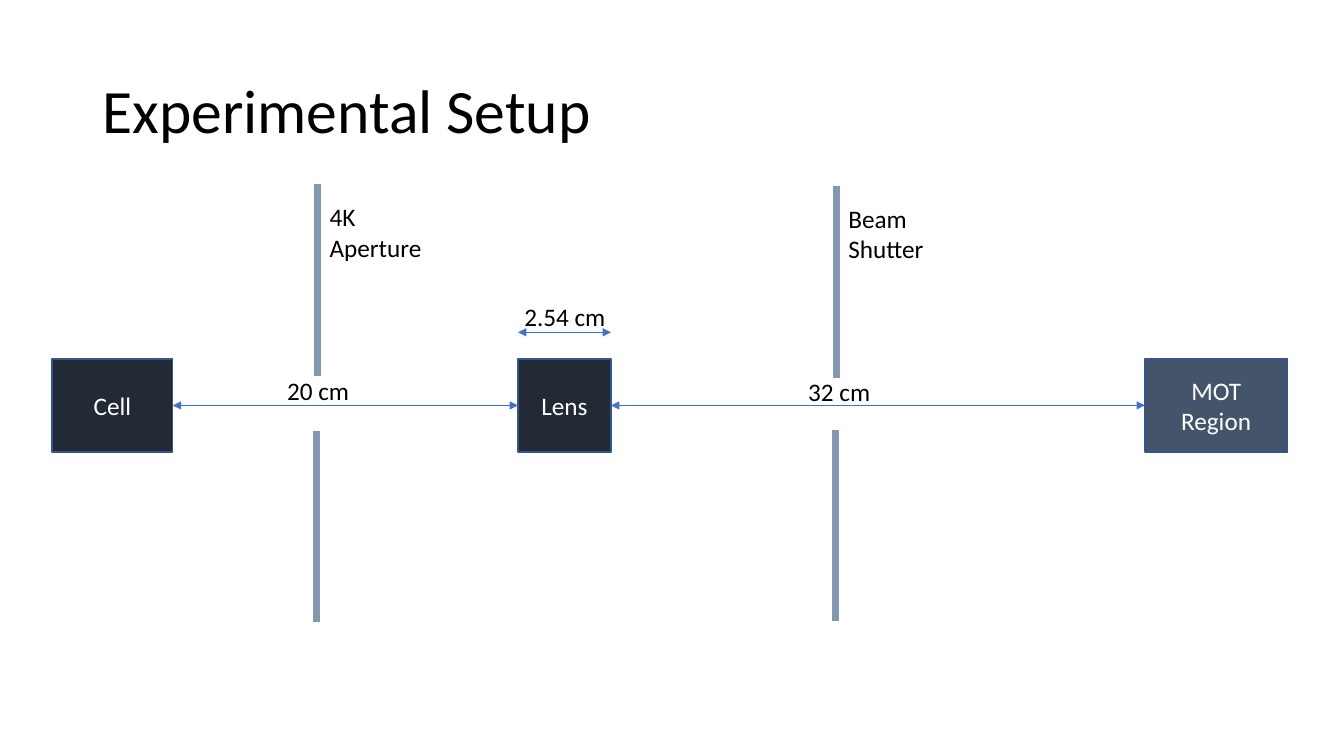
import pptx
import pptx.util
import pptx.dml.color
import pptx.enum.shapes
import pptx.enum.text
import pptx.oxml.ns
import lxml.etree

Pt = pptx.util.Pt
Align = pptx.enum.text.PP_ALIGN
Anchor = pptx.enum.text.MSO_ANCHOR
Fit = pptx.enum.text.MSO_AUTO_SIZE
COLORS = {
    "black": "000000", "white": "FFFFFF", "navy": "222A35", "slate": "44546A",
    "edge": "325491", "plate": "8497B0", "arrow": "4472C4",
}
HEX = {name: pptx.dml.color.RGBColor.from_string(code) for name, code in COLORS.items()}


def write(shape, text, size, color, align, anchor):
    """Put one formatted run into a shape."""
    frame = shape.text_frame
    frame.word_wrap = True
    frame.vertical_anchor = anchor
    para = frame.paragraphs[0]
    para.alignment = align
    run = para.add_run()
    run.text = text
    run.font.name = "Calibri"
    run.font.size = Pt(size)
    run.font.color.rgb = HEX[color]


def draw(start, end, color, width):
    """Add a straight line without shadow and return it."""
    line = slide.shapes.add_connector(
        pptx.enum.shapes.MSO_CONNECTOR.STRAIGHT, *map(Pt, start + end))
    line.line.color.rgb = HEX[color]
    line.line.width = Pt(width)
    lxml.etree.SubElement(line._element.spPr, pptx.oxml.ns.qn("a:effectLst"))
    return line


deck = pptx.Presentation()
deck.slide_width, deck.slide_height = Pt(960), Pt(540)
slide = deck.slides.add_slide(deck.slide_layouts[5])

title = slide.shapes.title
title.left, title.top, title.width, title.height = Pt(66), Pt(28.8), Pt(828), Pt(104.4)
write(title, "Experimental Setup", 44, "black", Align.LEFT, Anchor.MIDDLE)
title.text_frame.auto_size = Fit.NONE
title.text_frame.paragraphs[0].line_spacing = 0.9

# Stations along the beam
top, side = 256.4, 66.4
for text, left, width, fill in [
    ("Cell", 37.2, 86.2, "navy"),
    ("Lens", 370, side, "navy"),
    ("MOT Region", 817.8, 101.8, "slate"),
]:
    box = slide.shapes.add_shape(
        pptx.enum.shapes.MSO_SHAPE.RECTANGLE, Pt(left), Pt(top), Pt(width), Pt(side))
    box.shadow.inherit = False
    box.fill.solid()
    box.fill.fore_color.rgb = HEX[fill]
    box.line.color.rgb = HEX["edge"]
    box.line.width = Pt(1)
    write(box, text, 18, "white", Align.CENTER, Anchor.MIDDLE)

# Aperture and shutter: a plate above and below the beam
for x, y in [(226.8, 131.8), (226.1, 307.6), (597.6, 133.2), (596.9, 306.8)]:
    draw((x, y), (x, y + 137), "plate", 4.5)

# Distances
beam = top + side / 2
for start, end, y in [(123.4, 370, beam), (436.4, 817.8, beam), (370, 436.4, 237.4)]:
    span = draw((start, y), (end, y), "arrow", 0.5)
    stroke = span._element.spPr.find(pptx.oxml.ns.qn("a:ln"))
    for tag in ("a:headEnd", "a:tailEnd"):
        lxml.etree.SubElement(stroke, pptx.oxml.ns.qn(tag), type="triangle")

for text, left, y, width, height in [
    ("4K Aperture", 228.4, 140.5, 90.7, 51),
    ("Beam Shutter", 599, 141.6, 90.7, 51),
    ("20 cm", 198, 264.4, 66.4, 29),
    ("2.54 cm", 367.4, 211.7, 77.8, 29),
    ("32 cm", 570.2, 265, 77.8, 29),
]:
    label = slide.shapes.add_textbox(Pt(left), Pt(y), Pt(width), Pt(height))
    write(label, text, 18, "black", Align.LEFT, Anchor.TOP)
    label.text_frame.auto_size = Fit.SHAPE_TO_FIT_TEXT

deck.save("out.pptx")
